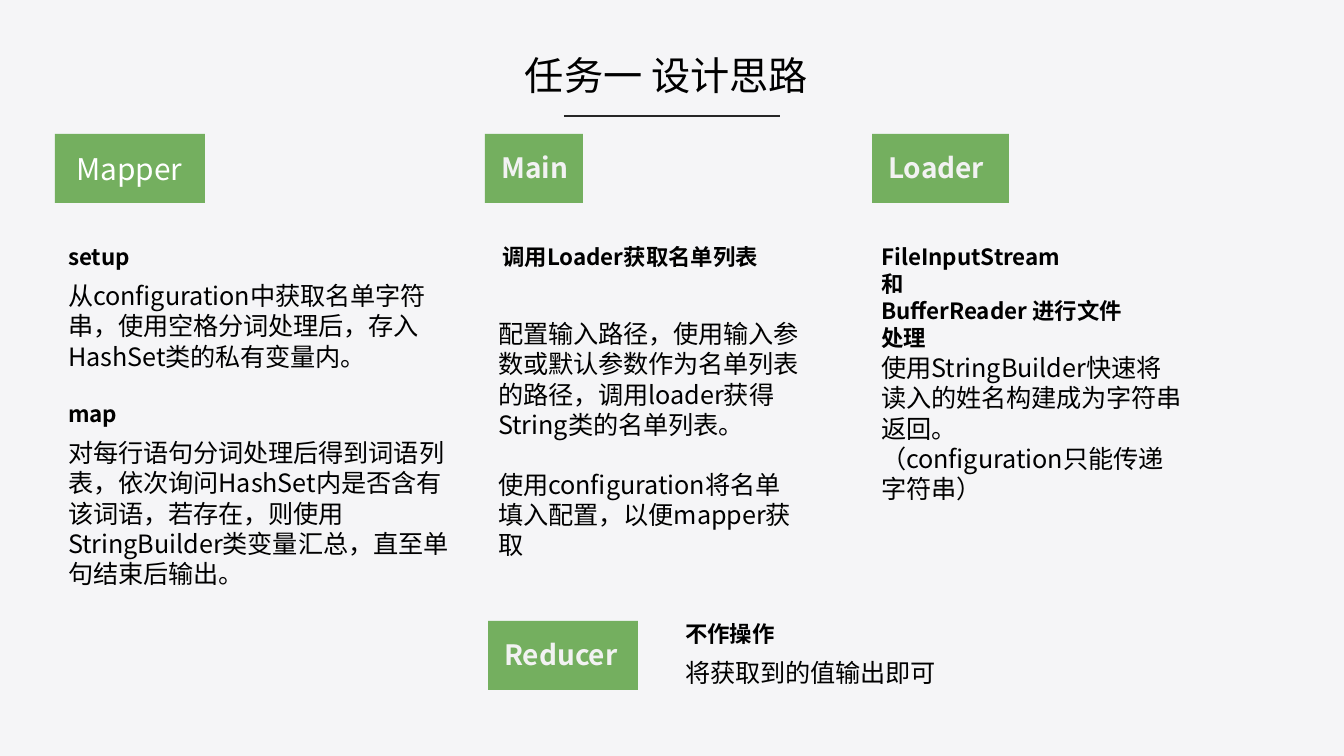
from lxml import etree
from pptx import Presentation
from pptx import util as u
from pptx.dml.color import RGBColor
from pptx.enum import shapes, text
from pptx.oxml.ns import qn

PX = 914400 / 134.4
FONT = "Noto Sans CJK SC"
COLORS = {"bg": "F5F5F7", "rule": "262626", "green": "549E39",
          "black": "000000", "white": "FFFFFF", "pale": "F2F2F2"}


def px(*values):
    return [u.Emu(round(v * PX)) for v in values]


def add_text(box, lines, size, color="black", bold=False, gap=0, align=text.PP_ALIGN.LEFT):
    tf = s.shapes.add_textbox(*px(*box)).text_frame
    tf.word_wrap = True
    for i, line in enumerate(lines):
        p = tf.paragraphs[0] if i == 0 else tf.add_paragraph()
        r = p.add_run()
        r.text = line
        p.alignment = align
        if i:
            p.space_before = u.Pt(gap)
        p.font.size = u.Pt(size)
        p.font.bold = bold
        p.font.name = FONT
        p.font.color.rgb = RGBColor.from_string(COLORS[color])
        r.font.language_id = None
        etree.SubElement(r._r.get_or_add_rPr(), qn("a:ea")).set("typeface", FONT)
    return tf


prs = Presentation()
prs.slide_width, prs.slide_height = px(1344, 756)
s = prs.slides.add_slide(prs.slide_layouts[6])
s.background.fill.solid()
s.background.fill.fore_color.rgb = RGBColor.from_string(COLORS["bg"])

rule = s.shapes.add_connector(shapes.MSO_CONNECTOR.STRAIGHT, *px(564, 116, 780, 116))
rule.line.color.rgb = RGBColor.from_string(COLORS["rule"])
rule.line.width = u.Pt(1)
etree.SubElement(rule._element.spPr, qn("a:effectLst"))

title = add_text((280, 50, 773, 66), ["任务一 设计思路"], 21, align=text.PP_ALIGN.CENTER)
title.paragraphs[0].line_spacing = 0.9

chips = [
    ("Mapper", 55, 134, 150, 8, 16, "white", False),
    ("Main", 485, 134, 98, 3, 15, "pale", True),
    ("Loader", 872, 134, 137, 3, 15, "pale", True),
    ("Reducer", 488, 621, 150, 3, 15, "pale", True),
]
for name, x, y, w, indent, size, color, bold in chips:
    sp = s.shapes.add_shape(shapes.MSO_SHAPE.RECTANGLE, *px(x, y, w, 69))
    sp.shadow.inherit = False
    sp.line.fill.background()
    sp.fill.solid()
    sp.fill.fore_color.rgb = RGBColor.from_string(COLORS["green"])
    srgb = sp._element.spPr.find(".//" + qn("a:srgbClr"))
    etree.SubElement(srgb, qn("a:alpha")).set("val", "80000")
    add_text((x + indent, y + 10, w, 48), [name], size, color, bold)

headings = [
    ((55, 237, 249, 40), ["setup"]),
    ((55, 394, 249, 40), ["map"]),
    ((489, 237, 289, 40), ["调用Loader获取名单列表"]),
    ((868, 237, 289, 122), ["FileInputStream", "和", "BufferReader 进行文件处理"]),
    ((672, 614, 421, 40), ["不作操作"]),
]
for box, lines in headings:
    add_text(box, lines, 12, bold=True)

bodies = [
    ((55, 274, 407, 105), 0,
     ["从configuration中获取名单字符串，使用空格分词处理后，存入HashSet类的私有变量内。"]),
    ((55, 431, 407, 167), 0,
     ["对每行语句分词处理后得到词语列表，依次询问HashSet内是否含有该词语，若存在，则使用StringBuilder类变量汇总，直至单句结束后输出。"]),
    ((485, 312, 329, 258), 16,
     ["配置输入路径，使用输入参数或默认参数作为名单列表的路径，调用loader获得String类的名单列表。",
      "使用configuration将名单填入配置，以便mapper获取"]),
    ((868, 346, 329, 167), 0,
     ["使用StringBuilder快速将读入的姓名构建成为字符串返回。", "（configuration只能传递字符串）"]),
    ((672, 651, 672, 44), 0, ["将获取到的值输出即可"]),
]
for box, gap, lines in bodies:
    add_text(box, lines, 13.5, gap=gap)

prs.save("out.pptx")
